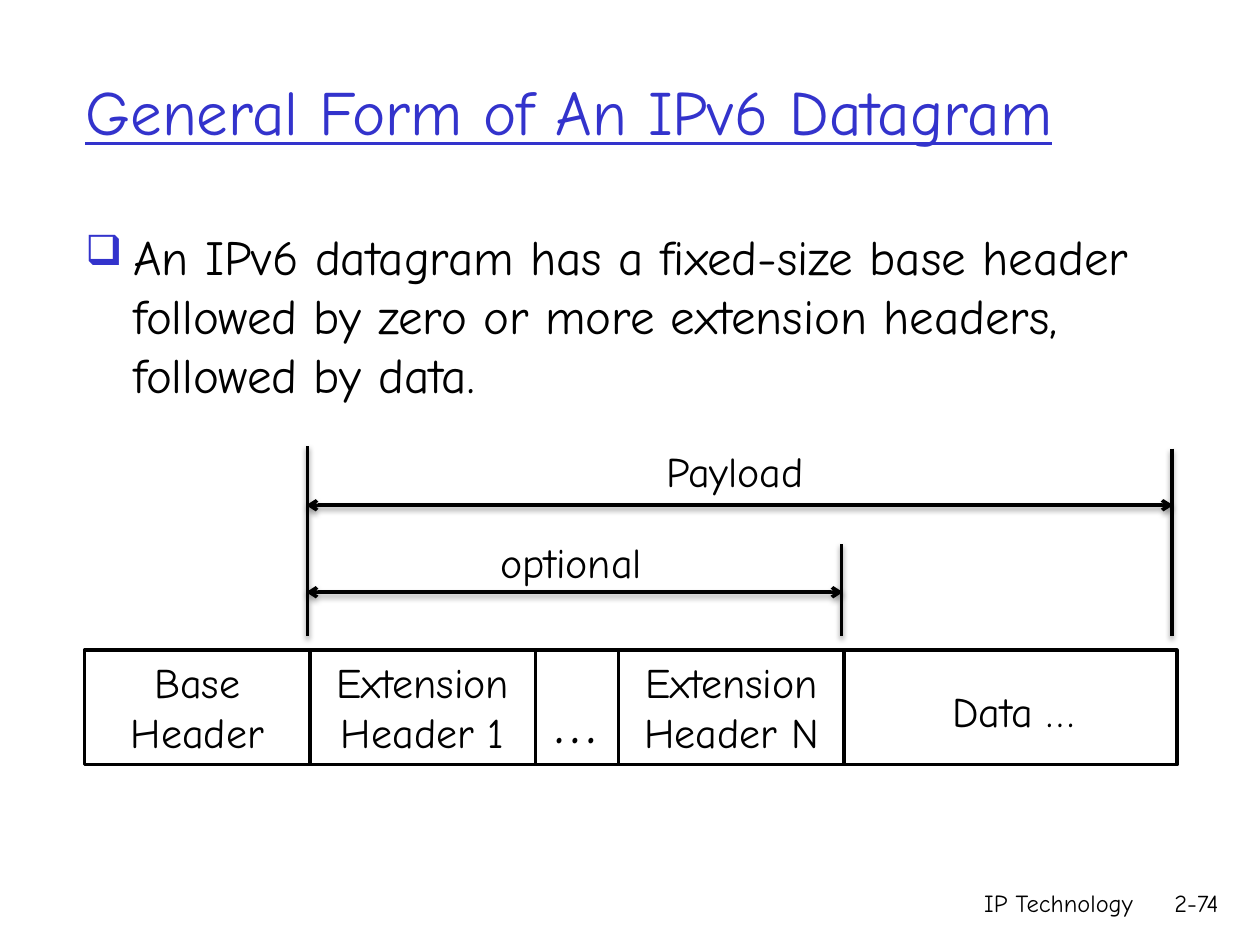
"""Build the slide on the general form of an IPv6 datagram."""
from lxml import etree
from pptx import Presentation
from pptx.dml.color import RGBColor
from pptx.enum import shapes, text
from pptx.oxml import parse_xml
from pptx.oxml.ns import nsdecls, qn
from pptx.util import Inches, Pt

BLACK, BLUE, WHITE = "000000", "3333CC", "FFFFFF"
LEFT, CENTER, RIGHT = text.PP_ALIGN.LEFT, text.PP_ALIGN.CENTER, text.PP_ALIGN.RIGHT
SHADOW = (
    f'<a:effectLst {nsdecls("a")}><a:outerShdw blurRad="39370" dist="20320" dir="5400000" rotWithShape="0">'
    '<a:srgbClr val="000000"><a:alpha val="38000"/></a:srgbClr></a:outerShdw></a:effectLst>'
)


def color(value):
    return RGBColor.from_string(value)


def write(shape, words, size, align=LEFT, tint=BLACK, anchor=text.MSO_ANCHOR.TOP):
    frame = shape.text_frame
    frame.word_wrap = True
    frame.vertical_anchor = anchor
    paragraph = frame.paragraphs[0]
    paragraph.alignment = align
    run = paragraph.add_run()
    run.text = words
    run.font.name = "Comic Neue"
    run.font.size = Pt(size)
    run.font.color.rgb = color(tint)
    return paragraph


deck = Presentation()
deck.slide_width, deck.slide_height = Inches(10), Inches(7.5)
slide = deck.slides.add_slide(deck.slide_layouts[6])

title = slide.shapes.add_textbox(Inches(0.58), Inches(0.25), Inches(8.5), Inches(1.25))
heading = write(title, "General Form of An IPv6 Datagram", 36, tint=BLUE, anchor=text.MSO_ANCHOR.MIDDLE)
heading.runs[0].font.underline = True

body = slide.shapes.add_textbox(Inches(0.58), Inches(1.75), Inches(8.5), Inches(1.46))
statement = write(
    body,
    "An IPv6 datagram has a fixed-size base header followed by zero or more extension headers, followed by data.",
    28,
)
statement.space_before = Pt(5.6)
bullet = statement._p.get_or_add_pPr()
bullet.set("marL", str(Inches(0.38)))
bullet.set("indent", str(-Inches(0.38)))
etree.SubElement(etree.SubElement(bullet, qn("a:buClr")), qn("a:srgbClr"), val=BLUE)
etree.SubElement(bullet, qn("a:buSzPct"), val="85000")
etree.SubElement(bullet, qn("a:buChar"), char="❑")

left = 0.67
for field, width in [
    ("Base Header", 1.79),
    ("Extension Header 1", 1.79),
    ("", 0.66),
    ("Extension Header N", 1.79),
    ("", 2.64),
]:
    cell = slide.shapes.add_shape(
        shapes.MSO_SHAPE.RECTANGLE, Inches(left), Inches(5.16), Inches(width), Inches(0.91)
    )
    cell.shadow.inherit = False
    cell.fill.solid()
    cell.fill.fore_color.rgb = color(WHITE)
    cell.line.color.rgb = color(BLACK)
    cell.line.width = Pt(2)
    if field:
        write(cell, field, 24, CENTER)
    left += width

for x1, y1, x2, y2 in [
    (2.44, 3.54, 2.44, 5.05),
    (6.68, 4.32, 6.68, 5.05),
    (9.3, 3.56, 9.3, 5.05),
    (2.43, 4.7, 6.69, 4.7),
    (2.43, 4.01, 9.31, 4.01),
]:
    rule = slide.shapes.add_connector(
        shapes.MSO_CONNECTOR.STRAIGHT, Inches(x1), Inches(y1), Inches(x2), Inches(y2)
    )
    rule.line.color.rgb = color(BLACK)
    rule.line.width = Pt(2)
    if y1 == y2:
        for end in ("a:headEnd", "a:tailEnd"):
            etree.SubElement(rule.line._get_or_add_ln(), qn(end), type="arrow")
    rule._element.spPr.append(parse_xml(SHADOW))

for words, x, y, width, height, size, align in [
    ("Data …", 7.15, 5.39, 1.79, 0.5, 24, CENTER),
    ("…", 4.08, 5.35, 0.98, 0.71, 36, CENTER),
    ("optional", 3.87, 4.21, 1.62, 0.5, 24, LEFT),
    ("Payload", 5.19, 3.49, 1.62, 0.5, 24, LEFT),
    ("IP Technology", 5.92, 7, 3.17, 0.5, 14, RIGHT),
    ("2-74", 8.98, 7, 0.79, 0.5, 14, RIGHT),
]:
    label = slide.shapes.add_textbox(Inches(x), Inches(y), Inches(width), Inches(height))
    write(label, words, size, align)

deck.save("out.pptx")
